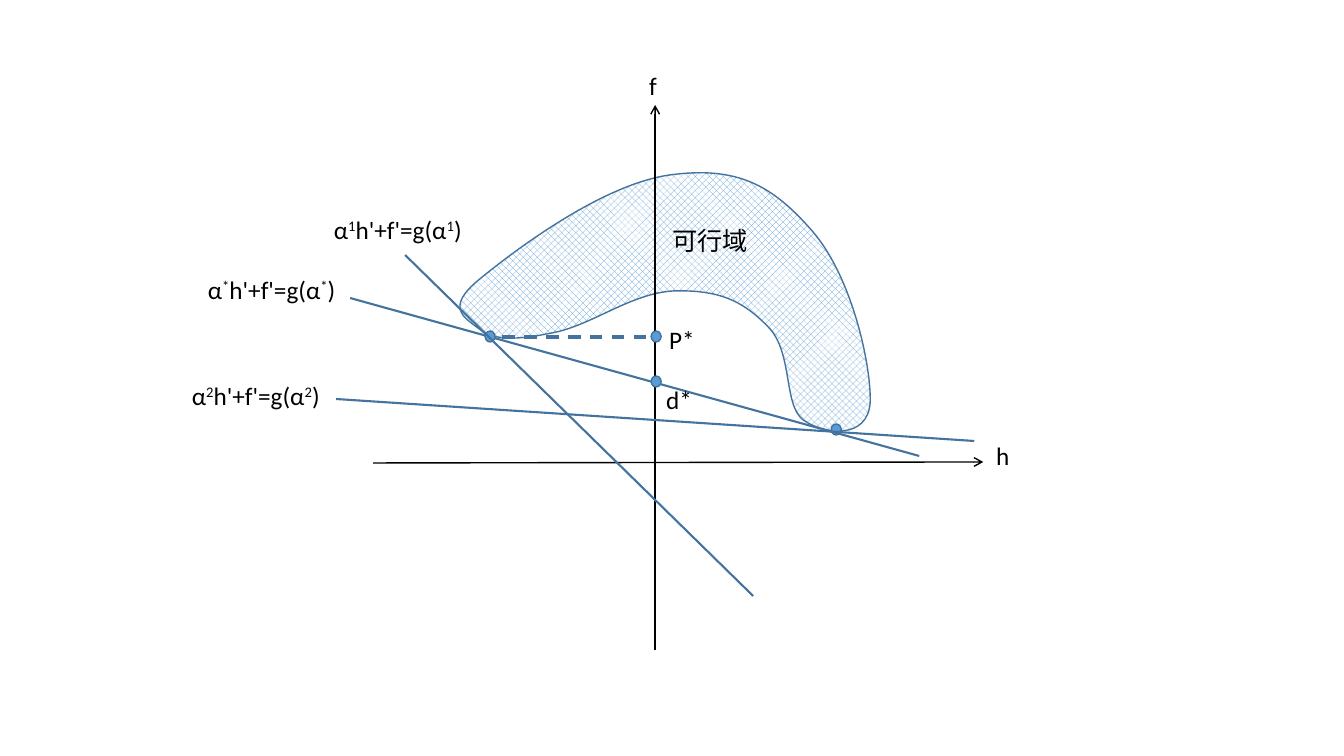
from dataclasses import dataclass
from math import cos, radians, sin
from typing import Optional

from lxml.etree import SubElement
from pptx import Presentation
from pptx.dml.color import RGBColor
from pptx.enum.dml import MSO_LINE, MSO_PATTERN
from pptx.enum.shapes import MSO_CONNECTOR, MSO_SHAPE
from pptx.enum.text import MSO_AUTO_SIZE
from pptx.oxml.ns import qn
from pptx.util import Emu, Inches, Pt

EMU_PER_PIXEL = 914400 / 100.8
DOT_WIDTH, DOT_HEIGHT = 10, 11
LABEL_HEIGHT = 42
COLORS = {"ink": "000000", "outline": "43739E", "fill": "5B9BD5", "paper": "FFFFFF"}

Point = tuple[float, float]


@dataclass(frozen=True)
class Line:
    start: Point
    end: Point
    color: str = "outline"
    width: float = 1.5
    arrow: bool = False
    dash: Optional[MSO_LINE] = None


@dataclass(frozen=True)
class Dot:
    left: int
    top: int


@dataclass(frozen=True)
class Label:
    text: str
    left: int
    top: int
    width: int
    wrap: bool = False


@dataclass(frozen=True)
class Region:
    left: int
    top: int
    width: int
    height: int
    rotation: int
    start: Point
    curves: tuple[tuple[Point, Point, Point], ...]

    def local(self, point: Point) -> Point:
        angle = radians(self.rotation)
        x = point[0] - self.left - self.width / 2
        y = point[1] - self.top - self.height / 2
        return (
            x * cos(angle) + y * sin(angle) + self.width / 2,
            y * cos(angle) - x * sin(angle) + self.height / 2,
        )


def px(length: float) -> Emu:
    return Emu(round(length * EMU_PER_PIXEL))


def rgb(name: str) -> RGBColor:
    return RGBColor.from_string(COLORS[name])


def draw_region(shapes, region: Region) -> None:
    builder = shapes.build_freeform(*(px(value) for value in region.local(region.start)))
    anchors = [region.local(curve[-1]) for curve in region.curves]
    builder.add_line_segments([(px(x), px(y)) for x, y in anchors], close=True)
    area = builder.convert_to_shape()
    area.left, area.top = px(region.left), px(region.top)
    area.width, area.height = px(region.width), px(region.height)
    area.rotation = region.rotation

    outline = next(area._element.iter(qn("a:path")))
    outline.set("w", str(px(region.width)))
    outline.set("h", str(px(region.height)))
    for command in list(outline):
        outline.remove(command)
    commands = [("a:moveTo", (region.start,))]
    commands += [("a:cubicBezTo", curve) for curve in region.curves]
    for tag, points in commands:
        command = SubElement(outline, qn(tag))
        for x, y in map(region.local, points):
            SubElement(command, qn("a:pt"), x=str(px(x)), y=str(px(y)))
    SubElement(outline, qn("a:close"))

    area.shadow.inherit = False
    area.fill.patterned()
    area.fill.pattern = MSO_PATTERN.PERCENT_50
    area.fill.fore_color.rgb = rgb("fill")
    area.fill.back_color.rgb = rgb("paper")
    area.line.color.rgb = rgb("outline")
    area.line.width = Pt(1)


def draw_line(shapes, line: Line) -> None:
    connector = shapes.add_connector(
        MSO_CONNECTOR.STRAIGHT, *(px(value) for value in line.start + line.end)
    )
    connector.line.color.rgb = rgb(line.color)
    connector.line.width = Pt(line.width)
    if line.dash is not None:
        connector.line.dash_style = line.dash
    if line.arrow:
        SubElement(connector.line._get_or_add_ln(), qn("a:tailEnd"), type="arrow")
    SubElement(connector._element.spPr, qn("a:effectLst"))


def draw_dot(shapes, dot: Dot) -> None:
    marker = shapes.add_shape(
        MSO_SHAPE.OVAL, px(dot.left), px(dot.top), px(DOT_WIDTH), px(DOT_HEIGHT)
    )
    marker.shadow.inherit = False
    marker.fill.solid()
    marker.fill.fore_color.rgb = rgb("fill")
    marker.line.color.rgb = rgb("outline")
    marker.line.width = Pt(1)


def draw_label(shapes, label: Label) -> None:
    frame = shapes.add_textbox(
        px(label.left), px(label.top), px(label.width), px(LABEL_HEIGHT)
    ).text_frame
    frame.word_wrap = label.wrap
    frame.auto_size = MSO_AUTO_SIZE.SHAPE_TO_FIT_TEXT
    for index, piece in enumerate(label.text.split("^")):
        run = frame.paragraphs[0].add_run()
        run.text = piece
        run.font.name = "Calibri"
        run.font.size = Pt(18)
        run.font.color.rgb = rgb("ink")
        if index % 2:
            run._r.get_or_add_rPr().set("baseline", "30000")


def dual_label(exponent: str, left: int, top: int) -> Label:
    return Label(f"α^{exponent}^h'+f'=g(α^{exponent}^)", left, top, 162)


FEASIBLE_REGION = Region(488, 169, 414, 254, 27, (481, 278), (
    ((519, 247), (604, 184), (670, 175)),
    ((737, 166), (772, 185), (812, 231)),
    ((852, 277), (871, 365), (870, 402)),
    ((868, 440), (824, 435), (803, 420)),
    ((783, 405), (793, 352), (768, 327)),
    ((742, 300), (718, 290), (674, 291)),
    ((631, 293), (591, 326), (552, 333)),
    ((513, 341), (493, 340), (479, 329)),
    ((465, 318), (443, 308), (481, 278)),
))
DIAGRAM = [
    FEASIBLE_REGION,
    Line((655, 650), (655, 105), "ink", 1, arrow=True),
    Line((373, 463), (983, 462), "ink", 1, arrow=True),
    Line((502, 337), (654, 337), width=2.25, dash=MSO_LINE.DASH),
    Dot(651, 331),
    Label("P*", 659, 319, 90, wrap=True),
    Label("h", 986, 435, 35),
    Label("f", 639, 65, 28),
    Label("可行域", 662, 220, 96),
    Dot(831, 424),
    Line((336, 399), (974, 441)),
    Line((350, 298), (919, 456)),
    Dot(485, 331),
    Line((405, 255), (753, 596)),
    dual_label("1", 324, 209),
    dual_label("2", 182, 375),
    dual_label("*", 198, 269),
    Dot(651, 376),
    Label("d*", 656, 379, 48),
]
DRAW = {Region: draw_region, Line: draw_line, Dot: draw_dot, Label: draw_label}

presentation = Presentation()
presentation.slide_width = Inches(13.33)
presentation.slide_height = Inches(7.5)
slide = presentation.slides.add_slide(presentation.slide_layouts[6])
for part in DIAGRAM:
    DRAW[type(part)](slide.shapes, part)

presentation.save("out.pptx")
